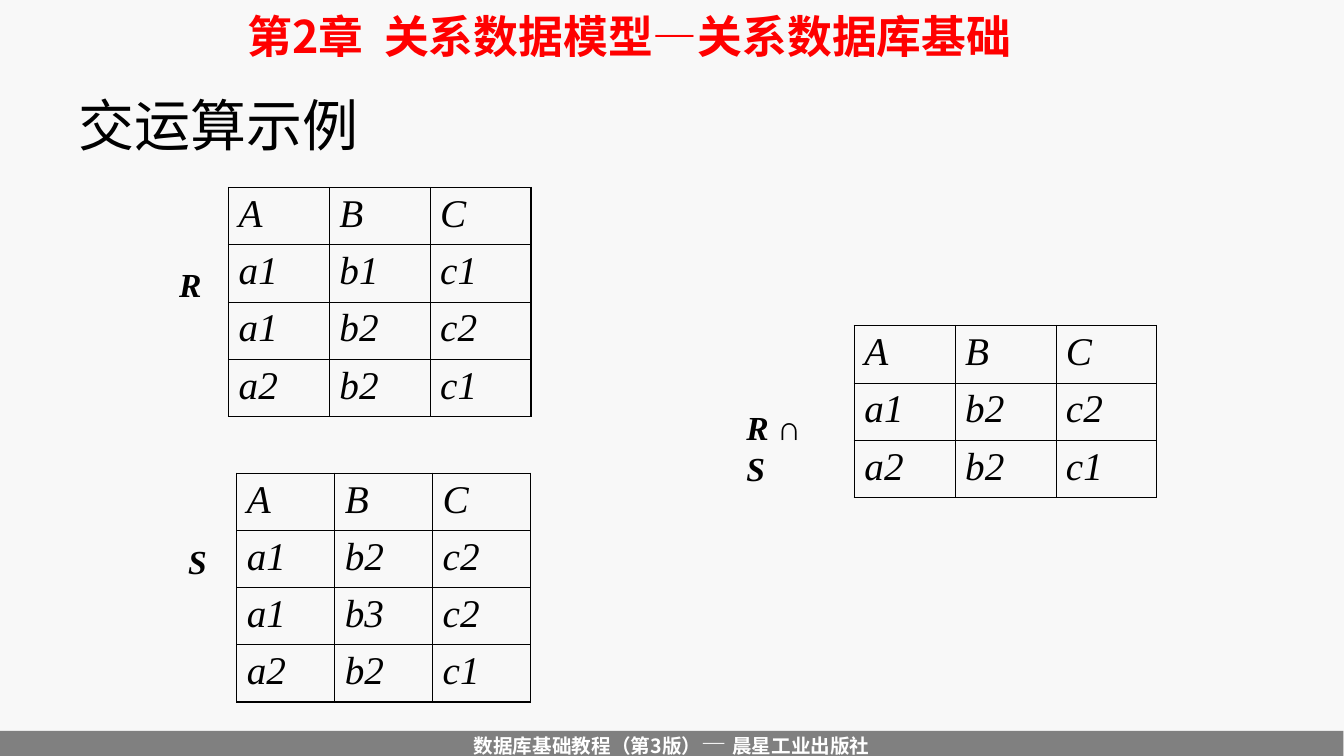
from lxml import etree
from pptx import Presentation
from pptx.dml.color import RGBColor
from pptx.enum.shapes import MSO_SHAPE
from pptx.enum.text import MSO_ANCHOR, PP_ALIGN
from pptx.oxml.ns import qn
from pptx.util import Pt

RECTANGLE = MSO_SHAPE.RECTANGLE
CENTER, LEFT = PP_ALIGN.CENTER, PP_ALIGN.LEFT
MIDDLE, BOTTOM = MSO_ANCHOR.MIDDLE, MSO_ANCHOR.BOTTOM
SANS, CJK, SERIF = "Arial", "Noto Sans CJK SC", "Times New Roman"
BLACK, WHITE, RED, GRAY, PAPER = "000000", "FFFFFF", "FF0000", "808080", "F8F8F8"
ROW_HEIGHT = 40.86
OUTER_LINE, INNER_LINE = 1.08, 0.45


def rgb(color):
    return RGBColor.from_string(color)


def style_run(run, size, font, color, bold=False, italic=False):
    run.font.size = Pt(size)
    run.font.name = font
    run.font.bold = bold
    run.font.italic = italic
    run.font.color.rgb = rgb(color)
    east_asian = etree.SubElement(run.font._element, qn("a:ea"))
    east_asian.set("typeface", CJK)


def fill_frame(frame, parts, align, anchor, wrap):
    """Write one paragraph; each part is (text, style)."""
    frame.word_wrap = wrap
    frame.vertical_anchor = anchor
    paragraph = frame.paragraphs[0]
    paragraph.alignment = align
    for text, style in parts:
        run = paragraph.add_run()
        run.text = text
        style_run(run, **style)
    return paragraph


def add_text(slide, box, parts, align=LEFT, anchor=MIDDLE, wrap=True):
    label = slide.shapes.add_textbox(*map(Pt, box))
    return fill_frame(label.text_frame, parts, align, anchor, wrap)


def add_text_shadow(run):
    effects = etree.Element(qn("a:effectLst"))
    shadow = etree.SubElement(effects, qn("a:outerShdw"),
                              blurRad="0", dist="25400", dir="2700000")
    etree.SubElement(shadow, qn("a:srgbClr"), val="C0C0C0")
    run.font._element.find(qn("a:latin")).addprevious(effects)


def set_borders(cell, widths):
    """Draw the left, right, top and bottom lines of a cell."""
    properties = cell._tc.get_or_add_tcPr()
    for index, (side, width) in enumerate(zip("LRTB", widths)):
        line = etree.Element(qn(f"a:ln{side}"), w=str(int(Pt(width))))
        fill = etree.SubElement(line, qn("a:solidFill"))
        etree.SubElement(fill, qn("a:srgbClr"), val=BLACK)
        properties.insert(index, line)


def add_relation(slide, left, top, column_width, tuples):
    """Draw a relation over the attributes A, B and C."""
    rows = ["A B C"] + tuples
    last_row, last_column = len(rows) - 1, 2
    relation = slide.shapes.add_table(
        len(rows), 3, Pt(left), Pt(top),
        Pt(3 * column_width), Pt(len(rows) * ROW_HEIGHT)).table
    relation.first_row = relation.horz_banding = False
    for column in relation.columns:
        column.width = Pt(column_width)
    for r, row in enumerate(rows):
        relation.rows[r].height = Pt(ROW_HEIGHT)
        for c, value in enumerate(row.split()):
            cell = relation.cell(r, c)
            cell.text_frame.text = value
            paragraph = cell.text_frame.paragraphs[0]
            paragraph.space_before = Pt(7)
            style_run(paragraph.runs[0], 28, SERIF, BLACK, italic=True)
            cell.fill.background()
            edges = (c == 0, c == last_column, r == 0, r == last_row)
            set_borders(cell, [OUTER_LINE if edge else INNER_LINE for edge in edges])


def add_footer(slide):
    bar = slide.shapes.add_shape(RECTANGLE, Pt(0), Pt(522), Pt(960), Pt(18.5))
    bar.shadow.inherit = False
    bar.fill.solid()
    bar.fill.fore_color.rgb = rgb(GRAY)
    bar.line.fill.background()
    bold_cjk = dict(size=14, font=CJK, color=WHITE, bold=True)
    fill_frame(bar.text_frame, [
        ("数据库基础教程（第3版", bold_cjk),
        ("）", dict(bold_cjk, font=SANS)),
        ("— ", dict(size=18, font=SANS, color=PAPER)),
        ("晨星工业出版社", bold_cjk),
    ], CENTER, MIDDLE, False)


def main():
    deck = Presentation()
    deck.slide_width, deck.slide_height = Pt(960.5), Pt(540)
    slide = deck.slides.add_slide(deck.slide_layouts[6])
    slide.background.fill.solid()
    slide.background.fill.fore_color.rgb = rgb(PAPER)

    # Footer, chapter heading and slide title
    add_footer(slide)
    chapter = add_text(slide, (41.8, 0, 816.5, 50.4), [
        ("第2章  关系数据模型—关系数据库基础",
         dict(size=32, font=CJK, color=RED, bold=True))], CENTER)
    add_text_shadow(chapter.runs[0])
    add_text(slide, (49, 62, 450, 54), [
        ("交运算示例", dict(size=40, font=SANS, color=BLACK))], anchor=BOTTOM)

    # Relations R and S, and their intersection
    add_relation(slide, 163.4, 133.9, 72, ["a1 b1 c1", "a1 b2 c2", "a2 b2 c1"])
    add_relation(slide, 610.6, 232.6, 72, ["a1 b2 c2", "a2 b2 c1"])
    add_relation(slide, 169.2, 338, 70, ["a1 b2 c2", "a1 b3 c2", "a2 b2 c1"])

    # Relation names
    name = dict(size=24, font=SERIF, color=BLACK, bold=True, italic=True)
    upright = dict(name, italic=False)
    for left, top, width, parts in [
        (121, 170, 23.8, [("R", name)]),
        (127.4, 368, 23.8, [("S", name)]),
        (526.3, 286.6, 66.2, [("R ", name), ("∩", upright), (" S", name)]),
    ]:
        add_text(slide, (left, top, width, 66.2), parts, wrap=False)

    deck.save("out.pptx")


if __name__ == "__main__":
    main()
